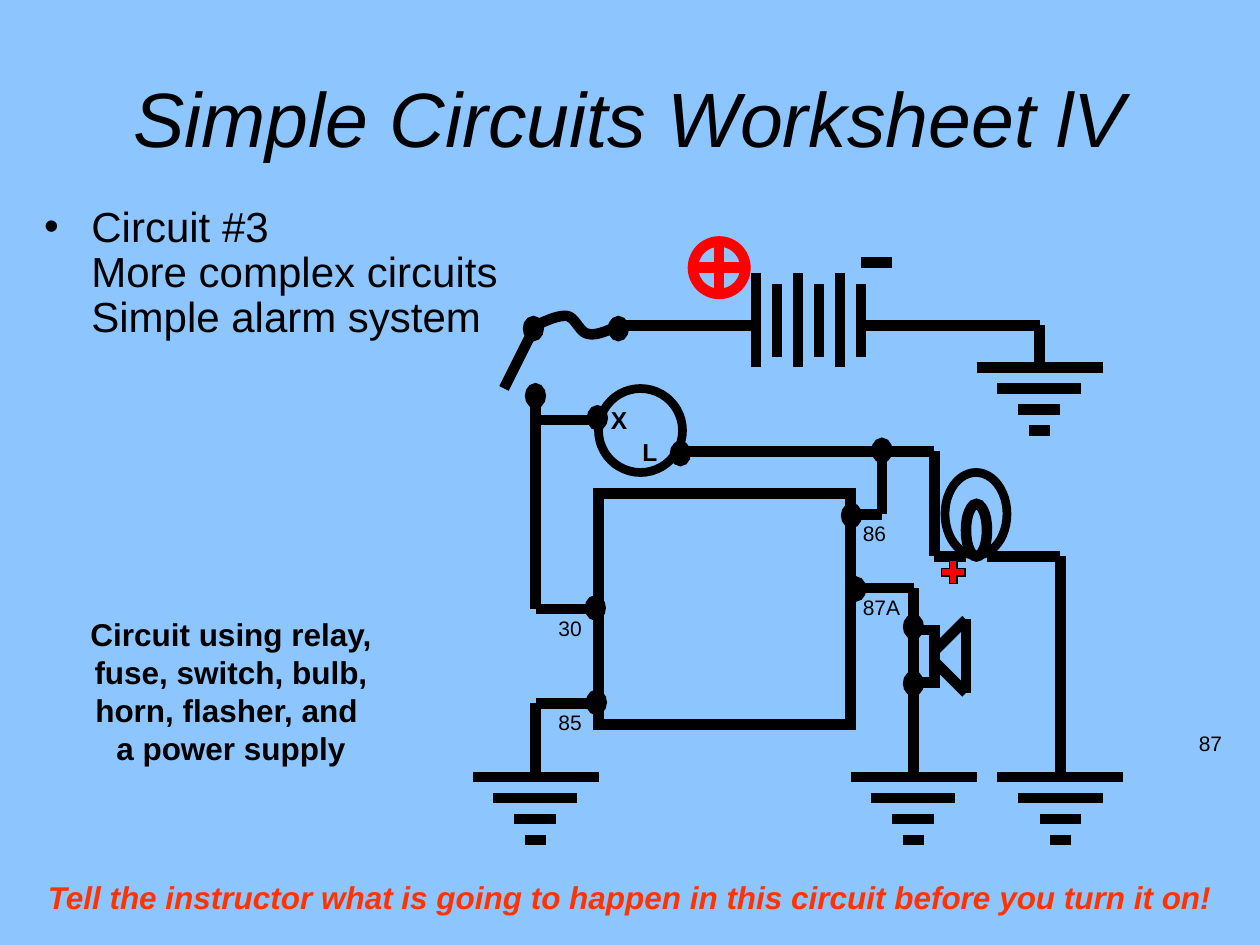
from copy import deepcopy

from lxml.etree import SubElement as Sub
from pptx import Presentation
from pptx.dml.color import RGBColor as Rgb
from pptx.enum.shapes import MSO_CONNECTOR as Wire, MSO_SHAPE as Kind
from pptx.enum.text import MSO_ANCHOR as Anchor, MSO_AUTO_SIZE as Fit, PP_ALIGN as Align
from pptx.oxml.ns import qn
from pptx.util import Pt

SCALE = 7620
HUES = {"sky": "8DC6FF", "ink": "000000", "red": "FF0000", "note": "FF3300"}


def emu(*nums):
    return [round(n * SCALE) for n in nums]


def hue(name):
    return Rgb.from_string(HUES[name])


def put(frame, text, size=12, color="ink", bold=False, italic=False,
        align=Align.LEFT, anchor=Anchor.TOP, lead=None):
    frame.word_wrap = True
    frame.auto_size = Fit.NONE
    frame.vertical_anchor = anchor
    para = frame.paragraphs[0]
    para.text = text
    para.alignment = align
    para.space_before = Pt(0)
    if lead:
        para.line_spacing = lead
    for run in para.runs:
        font = run.font
        font.name, font.size = "Arial", Pt(size)
        font.bold, font.italic = bold, italic
        font.color.rgb = hue(color)
    for gap in para._p.findall(qn("a:br")):
        gap.append(deepcopy(para.runs[0]._r.rPr))


class Sheet:
    def __init__(self, slide, width=6):
        self.slide = slide
        self.shapes = slide.shapes
        self.width = width

    def stroke(self, item, color="ink", width=None):
        item.line.color.rgb = hue(color)
        item.line.width = Pt(self.width if width is None else width)

    def wire(self, *points):
        for start, end in zip(points, points[1:]):
            item = self.shapes.add_connector(Wire.STRAIGHT, *emu(*start, *end))
            self.stroke(item)
            Sub(item._element.spPr, qn("a:effectLst"))

    def form(self, kind, box, color="ink", width=None, fill=None):
        item = self.shapes.add_shape(kind, *emu(*box))
        item.shadow.inherit = False
        if fill:
            item.fill.solid()
            item.fill.fore_color.rgb = hue(fill)
        else:
            item.fill.background()
        self.stroke(item, color, width)
        Sub(item._element.spPr.find(qn("a:ln")), qn("a:miter"), lim="800000")

    def dot(self, x, y):
        self.form(Kind.FLOWCHART_CONNECTOR, (x, y, 10, 14))

    def ground(self, x, y):
        for row, half in enumerate((60, 40, 20, 10)):
            self.wire((x - half, y + 20 * row), (x + half, y + 20 * row))

    def curve(self, start, parts, steps=12):
        points, last = [], start
        for one, two, end in parts:
            for step in range(1, steps + 1):
                t = step / steps
                u = 1 - t
                points.append(tuple(emu(*(
                    u**3 * a + 3 * u * u * t * b + 3 * u * t * t * c + t**3 * d
                    for a, b, c, d in zip(last, one, two, end)))))
            last = end
        pen = self.shapes.build_freeform(*emu(*start))
        pen.add_line_segments(points, close=False)
        item = pen.convert_to_shape()
        item.shadow.inherit = False
        item.fill.background()
        self.stroke(item)

    def label(self, text, box, **style):
        put(self.shapes.add_textbox(*emu(*box)).text_frame, text, **style)

    def holder(self, index, text, box, **style):
        item = self.slide.placeholders[index]
        item.left, item.top, item.width, item.height = emu(*box)
        put(item.text_frame, text, **style)


def main():
    deck = Presentation()
    deck.slide_width, deck.slide_height = emu(1200, 900)
    slide = deck.slides.add_slide(deck.slide_layouts[1])
    slide.background.fill.solid()
    slide.background.fill.fore_color.rgb = hue("sky")
    sheet = Sheet(slide)

    sheet.holder(0, "Simple Circuits Worksheet lV", (60, 36, 1080, 150),
                 size=44, italic=True, align=Align.CENTER, anchor=Anchor.MIDDLE)
    sheet.holder(1, "Circuit #3\vMore complex circuits\vSimple alarm system",
                 (30, 190, 520, 160), size=24, lead=0.9)

    for col in range(6):
        x, trim = 720 + 20 * col, 10 * (col % 2)
        sheet.wire((x, 260 + trim), (x, 350 - trim))

    wires = (
        ((820, 250), (850, 250)),
        ((820, 310), (990, 310), (990, 350)),
        ((720, 310), (590, 310)),
        ((480, 370), (510, 310)),
        ((510, 370), (510, 580), (570, 580)),
        ((510, 400), (570, 400)),
        ((570, 670), (510, 670), (510, 740)),
        ((650, 430), (890, 430), (890, 530), (920, 530)),
        ((840, 430), (840, 490), (810, 490)),
        ((940, 530), (1010, 530), (1010, 740)),
        ((810, 560), (870, 560), (870, 600)),
        ((870, 650), (870, 740)),
        ((890, 620), (920, 590), (920, 660), (890, 630)),
    )
    for points in wires:
        sheet.wire(*points)
    for spot in ((990, 350), (510, 740), (870, 740), (1010, 740)):
        sheet.ground(*spot)
    sheet.curve((510, 310), (
        ((521, 305), (532, 300), (540, 301)),
        ((548, 302), (552, 317), (560, 318)),
        ((569, 320), (580, 314), (590, 310))))

    sheet.form(Kind.RECTANGLE, (570, 470, 240, 220))
    sheet.form(Kind.RECTANGLE, (870, 600, 20, 50))
    sheet.form(Kind.OVAL, (570, 370, 80, 80), width=5)
    sheet.form(Kind.OVAL, (900, 450, 59, 79), width=5)
    sheet.form(Kind.OVAL, (920, 480, 20, 50))
    sheet.form(Kind.FLOWCHART_OR, (660, 230, 50, 50), color="red")
    sheet.form(Kind.MATH_PLUS, (893, 530, 30, 30), width=0, fill="red")

    dots = ((505, 370), (563, 662), (562, 572), (806, 484), (810, 554), (564, 391),
            (643, 425), (503, 306), (584, 306), (835, 422), (865, 590), (865, 644))
    for spot in dots:
        sheet.dot(*spot)

    pins = (("85", 520, 670), ("86", 810, 490), ("30", 520, 580),
            ("87A", 810, 560), ("87", 1130, 690))
    for text, x, y in pins:
        sheet.label(text, (x, y, 60, 36))
    for text, x, y in (("X", 570, 380), ("L", 600, 410)):
        sheet.label(text, (x, y, 40, 40), size=14, bold=True)
    sheet.label("Circuit using relay, fuse, switch, bulb, horn, flasher, and \va power supply",
                (40, 580, 360, 156), size=18, bold=True, align=Align.CENTER)
    sheet.label("Tell the instructor what is going to happen in this circuit before you turn it on!",
                (0, 830, 1200, 48), size=18, color="note", bold=True, italic=True,
                align=Align.CENTER)
    deck.save("out.pptx")


if __name__ == "__main__":
    main()
